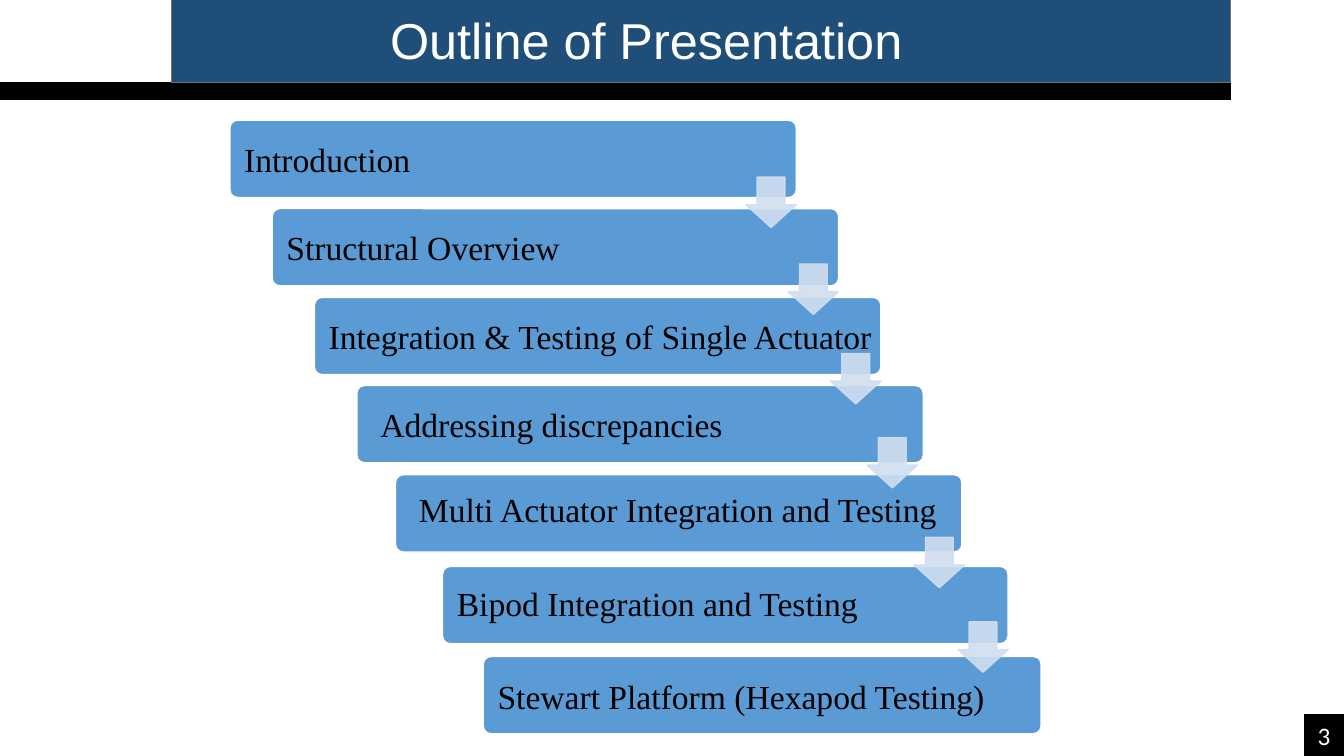
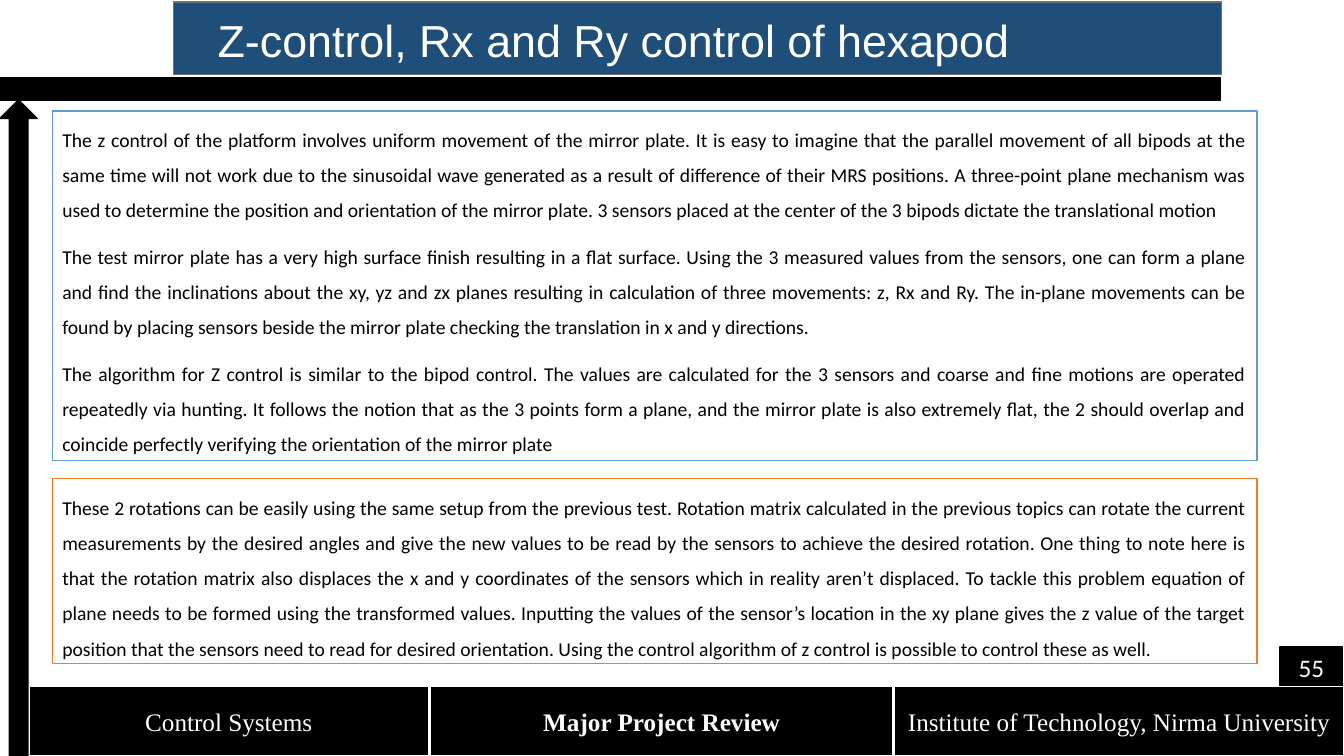
from lxml import etree
from pptx import Presentation
from pptx.dml.color import RGBColor
from pptx.enum.shapes import MSO_SHAPE
from pptx.enum.text import MSO_ANCHOR, PP_ALIGN
from pptx.oxml.ns import qn
from pptx.util import Pt

RECT, ROUNDED = MSO_SHAPE.RECTANGLE, MSO_SHAPE.ROUNDED_RECTANGLE
DOWN_ARROW, UP_ARROW = MSO_SHAPE.DOWN_ARROW, MSO_SHAPE.UP_ARROW
TOP, MIDDLE = MSO_ANCHOR.TOP, MSO_ANCHOR.MIDDLE
LEFT, CENTER, JUSTIFY = PP_ALIGN.LEFT, PP_ALIGN.CENTER, PP_ALIGN.JUSTIFY

WHITE, BLACK, NAVY, GRAY = "FFFFFF", "000000", "1F4E79", "767171"
BLUE, PALE_BLUE, ORANGE = "5B9BD5", "D0DEEF", "ED7D31"
SANS, SERIF, BODY = "Arial", "Times New Roman", "Calibri"

SLIDE_WIDTH, SLIDE_HEIGHT = 960, 540
STEP_SIZE = (404.6, 55.2)
ARROW_SIZE = 36

# text, left, top, width, extra left inset, upward text shift
STEPS = [
    ("Introduction", 164.2, 85.9, 404.6, 0, 0),
    ("Structural Overview", 194.4, 149, 404.6, 0, 0),
    ("Integration & Testing of Single Actuator", 224.6, 212.4, 404.6, 0, 0),
    ("Addressing discrepancies", 254.9, 275.4, 404.6, 6.5, 0),
    ("Multi Actuator Integration and Testing", 282.5, 339.1, 404.6, 6.5, 2.9),
    ("Bipod Integration and Testing", 316.1, 404.6, 403.9, 0, 1.4),
    ("Stewart Platform (Hexapod Testing)", 345.2, 468.9, 398.5, 0, -0.7),
]
ARROWS = [(532.8, 126.5), (563, 188.6), (593.3, 252.5),
          (619.4, 312.5), (653, 383.8), (684.2, 444.2)]

Z_CONTROL = [
    "The z control of the platform involves uniform movement of the mirror plate. It is easy to "
    "imagine that the parallel movement of all bipods at the same time will not work due to the "
    "sinusoidal wave generated as a result of difference of their MRS positions. A three-point "
    "plane mechanism was used to determine the position and orientation of the mirror plate. 3 "
    "sensors placed at the center of the 3 bipods dictate the translational motion",
    "The test mirror plate has a very high surface finish resulting in a flat surface. Using the "
    "3 measured values from the sensors, one can form a plane and find the inclinations about the "
    "xy, yz and zx planes resulting in calculation of three movements: z, Rx and Ry. The in-plane "
    "movements can be found by placing sensors beside the mirror plate checking the translation "
    "in x and y directions.",
    "The algorithm for Z control is similar to the bipod control. The values are calculated for "
    "the 3 sensors and coarse and fine motions are operated repeatedly via hunting. It follows "
    "the notion that as the 3 points form a plane, and the mirror plate is also extremely flat, "
    "the 2 should overlap and coincide perfectly verifying the orientation of the mirror plate",
]
ROTATIONS = [
    "These 2 rotations can be easily using the same setup from the previous test. Rotation matrix "
    "calculated in the previous topics can rotate the current measurements by the desired angles "
    "and give the new values to be read by the sensors to achieve the desired rotation. One thing "
    "to note here is that the rotation matrix also displaces the x and y coordinates of the "
    "sensors which in reality aren’t displaced. To tackle this problem equation of plane needs to "
    "be formed using the transformed values. Inputting the values of the sensor’s location in the "
    "xy plane gives the z value of the target position that the sensors need to read for desired "
    "orientation. Using the control algorithm of z control is possible to control these as well.",
]
FOOTER_CELLS = [("Control Systems", 0, 285.1, False),
                ("Major Project Review", 286.5, 330.5, True),
                ("Institute of Technology, Nirma University", 617.8, 321.3, False)]


def color(hex_value):
    """Turn a hex string into a colour."""
    return RGBColor.from_string(hex_value)


def apply(target, values):
    """Set each attribute named in a dict of format values."""
    for name, value in values.items():
        setattr(target, name, value)


def add_block(slide, kind, box, fill, line, adjustments=()):
    """Add a filled, outlined preset shape in a box of points."""
    block = slide.shapes.add_shape(kind, *(Pt(length) for length in box))
    block.shadow.inherit = False
    block.fill.solid()
    block.fill.fore_color.rgb = color(fill)
    block.line.color.rgb = color(line)
    block.line.width = Pt(1)
    for index, value in enumerate(adjustments):
        block.adjustments[index] = value
    return block


def write(block, texts, font, ink, frame=None, paragraph=None):
    """Fill a shape with paragraphs in one format."""
    text_frame = block.text_frame
    apply(text_frame, {"word_wrap": True, "vertical_anchor": MIDDLE, **(frame or {})})
    for index, text in enumerate(texts):
        entry = text_frame.add_paragraph() if index else text_frame.paragraphs[0]
        entry.text = text
        apply(entry, {"alignment": CENTER, **(paragraph or {})})
        apply(entry.font, font)
        entry.font.color.rgb = color(ink)


def add_header(slide, title, size, bar, panel):
    """Place the black bar and the title panel."""
    add_block(slide, RECT, bar, BLACK, BLACK)
    title_panel = add_block(slide, RECT, panel, NAVY, GRAY)
    left_inset = 156.2 if size == 36 else 31.7
    write(title_panel, [title], {"name": SANS, "size": Pt(size)}, WHITE,
          {"vertical_anchor": TOP, "margin_left": Pt(left_inset), "margin_top": Pt(7.9)},
          {"alignment": LEFT})


def add_page_number(slide, number, box):
    """Place the page number on its black tile."""
    tile = add_block(slide, RECT, box, BLACK, BLACK)
    write(tile, [number], {"name": BODY, "size": Pt(18)}, WHITE)


def add_step(slide, text, left, top, width, indent, lift):
    """Place one step of the outline staircase."""
    step = add_block(slide, ROUNDED, (left, top, width, STEP_SIZE[1]), BLUE, WHITE, [0.1])
    write(step, [text], {"name": SERIF, "size": Pt(24)}, BLACK,
          {"margin_left": Pt(8.6 + indent), "margin_right": 0,
           "margin_top": Pt(8.6), "margin_bottom": Pt(8.6 + 2 * lift)},
          {"alignment": LEFT})


def add_step_arrow(slide, left, top):
    """Place a translucent arrow that leads to the next step."""
    arrow = add_block(slide, DOWN_ARROW, (left, top, ARROW_SIZE, ARROW_SIZE),
                      PALE_BLUE, PALE_BLUE, [0.55, 0.45])
    for tint in arrow._element.spPr.iter(qn("a:srgbClr")):
        etree.SubElement(tint, qn("a:alpha"), val="90000")


def add_passage(slide, texts, box, border):
    """Place a bordered passage of justified text."""
    passage = add_block(slide, RECT, box, WHITE, border)
    write(passage, texts, {"name": BODY, "size": Pt(14)}, BLACK, {"vertical_anchor": TOP},
          {"alignment": JUSTIFY, "line_spacing": 1.5, "space_after": Pt(8)})


def add_footer(slide, left, top, height):
    """Place the row of footer cells."""
    for text, offset, width, bold in FOOTER_CELLS:
        cell = add_block(slide, RECT, (left + offset, top, width, height), BLACK, WHITE)
        write(cell, [text], {"name": SERIF, "size": Pt(18), "bold": bold}, WHITE)


def build_outline(slide):
    """Build the outline slide."""
    add_header(slide, "Outline of Presentation", 36,
               (0, 59, 879.1, 12.2), (122.4, -1.4, 756.7, 60.5))
    add_page_number(slide, "3", (931.7, 510.5, 28.3, 29.5))
    for step in STEPS:
        add_step(slide, *step)
    for position in ARROWS:
        add_step_arrow(slide, *position)


def build_hexapod_control(slide):
    """Build the hexapod control slide."""
    add_header(slide, "Z-control, Rx and Ry control of hexapod", 32,
               (0, 55.4, 872, 16.6), (123.8, 1.4, 748.8, 51.8))
    add_block(slide, UP_ARROW, (0, 71.3, 26.6, 468.7), BLACK, BLACK)
    add_page_number(slide, "55", (914.4, 462.2, 44.6, 29.5))
    add_footer(slide, 20.9, 490.5, 49.2)
    add_passage(slide, Z_CONTROL, (37.4, 79.2, 860.4, 249.8), BLUE)
    add_passage(slide, ROTATIONS, (37.4, 342, 860.4, 131.8), ORANGE)


def main():
    """Build and save the presentation."""
    deck = Presentation()
    apply(deck, {"slide_width": Pt(SLIDE_WIDTH), "slide_height": Pt(SLIDE_HEIGHT)})
    for build in (build_outline, build_hexapod_control):
        build(deck.slides.add_slide(deck.slide_layouts[6]))
    deck.save("out.pptx")


if __name__ == "__main__":
    main()
